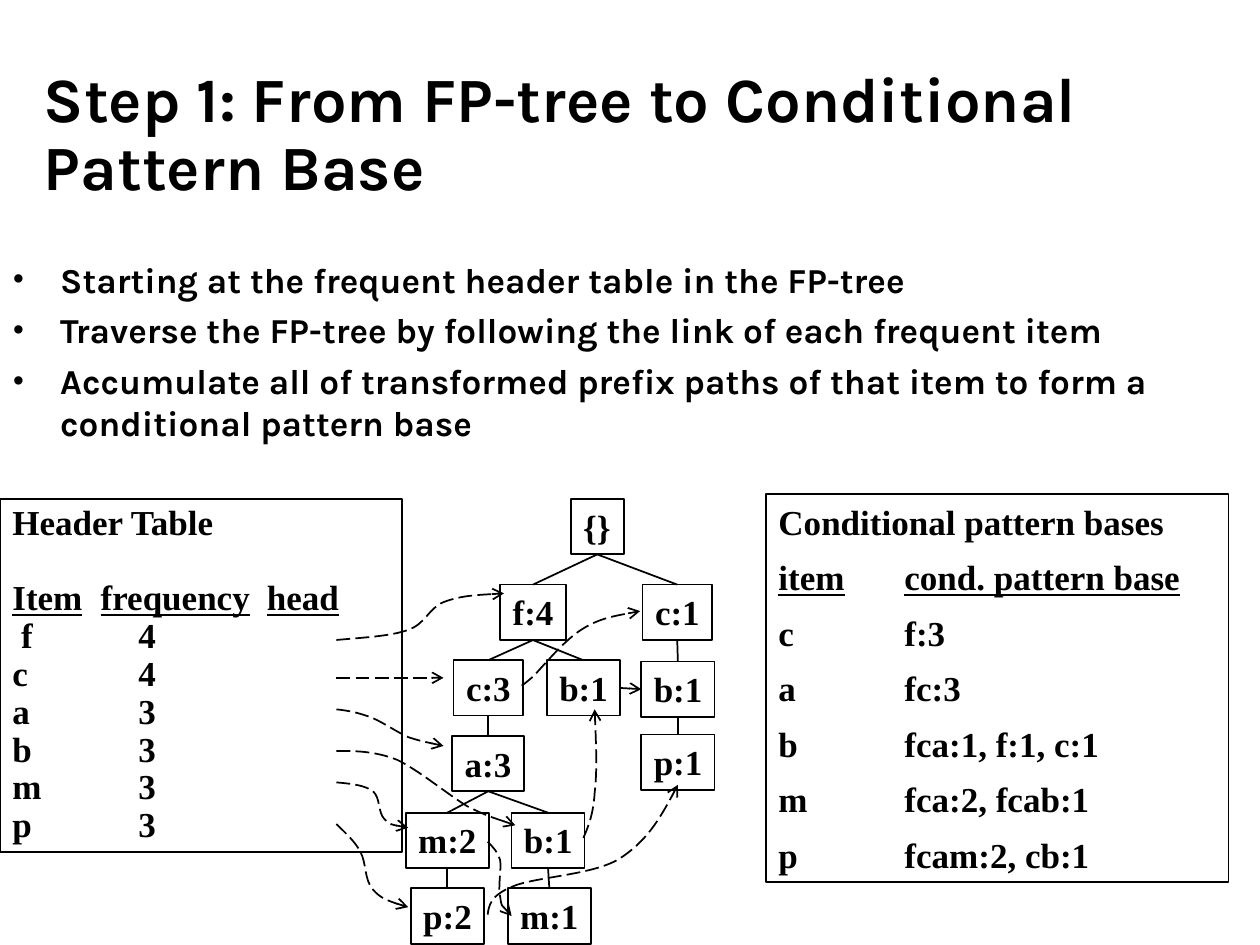
from lxml import etree
from pptx import Presentation
from pptx.dml.color import RGBColor
from pptx.enum.dml import MSO_LINE
from pptx.enum.shapes import MSO_CONNECTOR, MSO_SHAPE
from pptx.enum.text import MSO_ANCHOR, MSO_AUTO_SIZE, PP_ALIGN
from pptx.oxml.ns import qn
from pptx.util import Inches, Pt

BLACK = "000000"
SERIF = {"name": "Times New Roman", "size": Pt(20), "bold": True}
BOTTOM, LEFT, RIGHT, TOP = 2, 1, 3, 0
NODE_HEIGHT = 0.44

NODES = {
    "root": ("{}", 4.53, 3.96, 0.42),
    "f": ("f:4", 3.97, 4.64, 0.52),
    "f-c": ("c:3", 3.6, 5.24, 0.55),
    "f-b": ("b:1", 4.34, 5.24, 0.58),
    "f-c-a": ("a:3", 3.59, 5.84, 0.57),
    "a-m": ("m:2", 3.22, 6.45, 0.66),
    "a-b": ("b:1", 4.06, 6.45, 0.58),
    "m-p": ("p:2", 3.26, 7.05, 0.58),
    "b-m": ("m:1", 4.03, 7.05, 0.66),
    "c": ("c:1", 5.1, 4.64, 0.55),
    "c-b": ("b:1", 5.09, 5.25, 0.58),
    "c-b-p": ("p:1", 5.09, 5.83, 0.58),
}
EDGES = [
    ("root", "f"), ("root", "c"), ("f", "f-c"), ("f", "f-b"),
    ("f-c", "f-c-a"), ("f-c-a", "a-m"), ("f-c-a", "a-b"),
    ("a-m", "m-p"), ("a-b", "b-m"), ("c", "c-b"), ("c-b", "c-b-p"),
]
NODE_LINKS = [
    [(2.67, 5.08), (2.89, 5.06), (3.1, 5.05), (3.24, 5), (3.38, 4.95),
     (3.4, 4.83), (3.52, 4.78), (3.65, 4.73), (3.82, 4.72), (4, 4.71)],
    [(2.67, 5.38), (2.67, 5.38), (3.1, 5.38), (3.52, 5.38)],
    [(4.14, 5.44), (4.14, 5.44), (4.15, 5.44), (4.23, 5.37), (4.31, 5.29),
     (4.47, 5.09), (4.61, 5), (4.75, 4.91), (4.92, 4.88), (5.08, 4.85)],
    [(2.67, 5.63), (2.77, 5.64), (2.86, 5.66), (2.96, 5.7), (3.05, 5.74),
     (3.15, 5.81), (3.24, 5.85), (3.33, 5.88), (3.43, 5.9), (3.52, 5.92)],
    [(2.67, 5.96), (2.82, 5.96), (2.97, 5.96), (3.15, 6.03), (3.32, 6.11),
     (3.56, 6.31), (3.71, 6.4), (3.87, 6.48), (3.98, 6.51), (4.09, 6.55)],
    [(4.63, 6.65), (4.67, 6.56), (4.71, 6.46), (4.72, 6.29), (4.74, 6.12),
     (4.73, 5.87), (4.72, 5.63)],
    [(2.67, 6.21), (2.78, 6.22), (2.89, 6.23), (2.96, 6.28), (3.02, 6.33),
     (3, 6.45), (3.05, 6.5), (3.1, 6.55), (3.17, 6.56), (3.24, 6.57)],
    [(3.87, 6.68), (3.91, 6.72), (3.95, 6.76), (3.97, 6.83), (3.98, 6.9),
     (3.95, 7.05), (3.97, 7.12), (3.98, 7.2), (4.02, 7.23), (4.06, 7.27)],
    [(2.67, 6.54), (2.74, 6.61), (2.82, 6.68), (2.86, 6.76), (2.91, 6.85),
     (2.89, 6.98), (2.96, 7.06), (3.02, 7.13), (3.13, 7.17), (3.24, 7.2)],
    [(3.87, 7.26), (3.88, 7.19), (3.89, 7.11), (4.06, 7.04), (4.23, 6.96),
     (4.69, 6.95), (4.91, 6.82), (5.13, 6.68), (5.26, 6.46), (5.38, 6.23)],
]


def color(value):
    return RGBColor.from_string(value)


def apply(target, values):
    for name, value in values.items():
        setattr(target, name, value)


def add_bullet(paragraph):
    properties = paragraph._p.get_or_add_pPr()
    properties.set("marL", str(Inches(0.38)))
    properties.set("indent", str(-Inches(0.38)))
    etree.SubElement(properties, qn("a:buFont")).set("typeface", SERIF["name"])
    etree.SubElement(properties, qn("a:buChar")).set("char", "•")


def add_tabs(paragraph, positions):
    tabs = etree.SubElement(paragraph._p.get_or_add_pPr(), qn("a:tabLst"))
    for position in positions:
        tab = etree.SubElement(tabs, qn("a:tab"))
        tab.set("pos", str(Inches(position)))
        tab.set("algn", "l")


def write(frame, lines, font, spacing=None, bulleted=False):
    for index, line in enumerate(lines):
        paragraph = frame.paragraphs[0] if index == 0 else frame.add_paragraph()
        if bulleted:
            add_bullet(paragraph)
        apply(paragraph, {"alignment": PP_ALIGN.LEFT, **(spacing or {})})
        if index == 0:
            paragraph.space_before = Pt(0)
        run = paragraph.add_run()
        run.text = line
        apply(run.font, font)
        run.font.color.rgb = color(BLACK)


def add_text(slide, place, lines, font, anchor=MSO_ANCHOR.TOP, **layout):
    shape = slide.shapes.add_textbox(*map(Inches, place))
    apply(shape.text_frame, {"word_wrap": True, "vertical_anchor": anchor})
    write(shape.text_frame, lines, font, **layout)


def add_box(slide, place, lines, width=1, right_margin=0.1, spacing=None):
    shape = slide.shapes.add_shape(MSO_SHAPE.RECTANGLE, *map(Inches, place))
    shape.shadow.inherit = False
    shape.fill.background()
    style_line(shape.line, width)
    apply(shape.text_frame, {
        "word_wrap": True,
        "margin_right": Inches(right_margin),
        "vertical_anchor": MSO_ANCHOR.TOP,
        "auto_size": MSO_AUTO_SIZE.SHAPE_TO_FIT_TEXT,
    })
    write(shape.text_frame, lines, SERIF, spacing)
    return shape


def style_line(line, width=1, arrow=False):
    line.color.rgb = color(BLACK)
    line.width = Pt(width)
    if arrow:
        line.dash_style = MSO_LINE.LONG_DASH
        etree.SubElement(line._get_or_add_ln(), qn("a:tailEnd")).set("type", "arrow")


def add_edge(slide, start, start_side, end, end_side, arrow=False):
    connector = slide.shapes.add_connector(MSO_CONNECTOR.STRAIGHT, 0, 0, 0, 0)
    connector.begin_connect(start, start_side)
    connector.end_connect(end, end_side)
    style_line(connector.line, arrow=arrow)
    etree.SubElement(connector._element.spPr, qn("a:effectLst"))


def add_curve(slide, points):
    start, *rest = [(Inches(x), Inches(y)) for x, y in points]
    builder = slide.shapes.build_freeform(*start)
    builder.add_line_segments(rest, close=False)
    shape = builder.convert_to_shape()
    segments = list(shape._element.iter(qn("a:lnTo")))
    for first in range(0, len(segments), 3):
        curve = etree.Element(qn("a:cubicBezTo"))
        segments[first].addprevious(curve)
        for segment in segments[first:first + 3]:
            curve.append(segment[0])
            segment.getparent().remove(segment)
    shape.shadow.inherit = False
    shape.fill.background()
    style_line(shape.line, arrow=True)


def add_header_table(slide):
    rows = [" f\t4", "c\t4", "a\t3", "b\t3", "m\t3", "p\t3"]
    lines = ["Header Table", "Item\tfrequency\thead", *rows]
    box = add_box(slide, (0, 3.96, 3.19, 2.8), lines, spacing={"line_spacing": 0.9})
    _, heading, *items = box.text_frame.paragraphs
    heading.space_before = Pt(21.6)
    heading.runs[0].font.underline = True
    add_tabs(heading, (0.7, 2.02))
    for paragraph in items:
        add_tabs(paragraph, (1,))


def add_pattern_bases(slide):
    rows = ["c\tf:3", "a\tfc:3", "b\tfca:1, f:1, c:1", "m\tfca:2, fcab:1", "p\tfcam:2, cb:1"]
    lines = ["Conditional pattern bases", "item\tcond. pattern base", *rows]
    box = add_box(slide, (6.08, 3.92, 3.67, 3.08), lines, width=0.75,
                  spacing={"line_spacing": 0.8, "space_before": Pt(12.5)})
    title, *table = box.text_frame.paragraphs
    title.line_spacing = 1.0
    table[0].runs[0].font.underline = True
    for paragraph in table:
        add_tabs(paragraph, (1,))


def add_tree(slide):
    nodes = {
        key: add_box(slide, (left, top, width, NODE_HEIGHT), [label], right_margin=0)
        for key, (label, left, top, width) in NODES.items()
    }
    for parent, child in EDGES:
        add_edge(slide, nodes[parent], BOTTOM, nodes[child], TOP)
    add_edge(slide, nodes["f-b"], RIGHT, nodes["c-b"], LEFT, arrow=True)


def main():
    presentation = Presentation()
    apply(presentation, {"slide_width": Inches(10), "slide_height": Inches(7.5)})
    slide = presentation.slides.add_slide(presentation.slide_layouts[6])
    karla = {"name": "Karla", "bold": True}
    add_text(slide, (0.25, 0.5, 9.58, 1.17),
             ["Step 1: From FP-tree to Conditional Pattern Base"],
             {**karla, "size": Pt(36)}, MSO_ANCHOR.BOTTOM, spacing={"line_spacing": 0.9})
    add_text(slide, (0, 2, 9.83, 1.42), [
        "Starting at the frequent header table in the FP-tree",
        "Traverse the FP-tree by following the link of each frequent item",
        "Accumulate all of transformed prefix paths of that item to form a conditional pattern base",
    ], {**karla, "size": Pt(20)}, spacing={"space_before": Pt(5)}, bulleted=True)
    add_pattern_bases(slide)
    add_tree(slide)
    add_header_table(slide)
    for points in NODE_LINKS:
        add_curve(slide, points)
    presentation.save("out.pptx")


if __name__ == "__main__":
    main()
